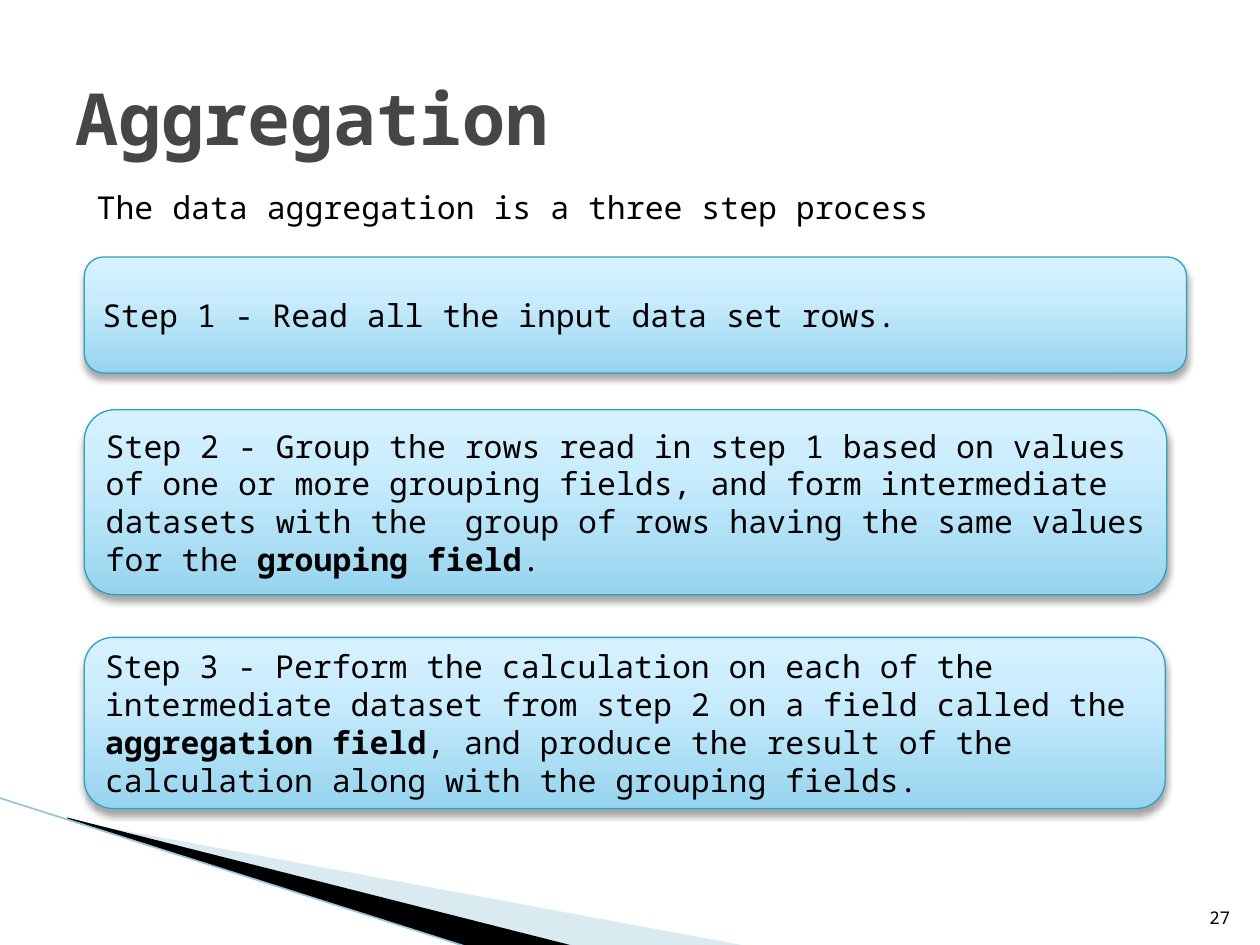
from copy import deepcopy
from dataclasses import dataclass

from lxml.etree import SubElement
from pptx import Presentation
from pptx.dml.color import RGBColor as RGB
from pptx.enum.shapes import MSO_CONNECTOR as LINK, MSO_SHAPE as SHAPE
from pptx.enum.text import MSO_ANCHOR as ANCHOR, MSO_AUTO_SIZE as AUTO, PP_ALIGN as ALIGN
from pptx.oxml.ns import qn
from pptx.util import Cm, Pt


@dataclass(frozen=True)
class Theme:
    font: str = "Noto Sans Mono"
    ink: str = "000000"
    head: str = "464646"
    edge: str = "2DA2BF"
    pale: str = "A0CBDC"
    rule: str = "97C5D8"
    glow: tuple = ((0, "96D4EE"), (0.65, "C9ECFC"), (1, "D7F2FF"))
    big: int = 41
    body: int = 18
    small: int = 10


THEME = Theme()
STEPS = (
    # top, width, height, runs as (text, bold)
    (0, 22.22, 2.34, [("Step 1 - Read all the input data set rows.", False)]),
    (3.08, 21.82, 3.73, [
        ("Step 2 - Group the rows read in step 1 based on values of one or more "
         "grouping fields, and form intermediate datasets with the  group of rows "
         "having the same values for the ", False),
        ("grouping field", True), (".", False)]),
    (7.67, 21.79, 3.45, [
        ("Step 3 - Perform the calculation on each of the intermediate dataset "
         "from step 2 on a field called the ", False),
        ("aggregation field", True),
        (", and produce the result of the calculation along with the grouping "
         "fields.", False)]),
)


def style(item, **values):
    for name, value in values.items():
        setattr(item, name, value)


def place(shape, box):
    style(shape, **dict(zip(("left", "top", "width", "height"), map(Cm, box))))


def write(shape, runs, size, color=THEME.ink, align=ALIGN.LEFT, **frame):
    text = shape.text_frame
    style(text, **{"word_wrap": True, "auto_size": AUTO.NONE, **frame})
    para = text.paragraphs[0]
    para.alignment = align
    for words, bold in runs:
        run = para.add_run()
        run.text = words
        style(run.font, name=THEME.font, size=Pt(size), bold=bold)
        run.font.color.rgb = RGB.from_string(color)


def alpha(color, percent):
    SubElement(color, qn("a:alpha"), val=str(percent * 1000))


def wedge(slide, box, points, color, opaque=100):
    left, top = box[:2]
    spots = [(Cm(left + x), Cm(top + y)) for x, y in points]
    form = slide.shapes.build_freeform(*spots[0])
    form.add_line_segments(spots[1:])
    shape = form.convert_to_shape()
    shape.shadow.inherit = False
    shape.fill.solid()
    shape.fill.fore_color.rgb = RGB.from_string(color)
    shape.line.fill.background()
    if opaque < 100:
        alpha(shape.element.spPr.find(".//" + qn("a:srgbClr")), opaque)


def corner(slide, box):
    """Wedges and rule in the lower left corner."""
    left, top, wide, high = box
    wedge(slide, box, ((1.4, 0.46), (wide, 3), (11.58, 3), (1.4, 0.43)), THEME.pale, 40)
    wedge(slide, box, ((1.35, 0.4), (11.61, 3), (9.45, high), (1.37, 0.43)), THEME.ink)
    rule = slide.shapes.add_connector(
        LINK.STRAIGHT, Cm(left - 0.03), Cm(top), Cm(left + 9.45), Cm(top + high))
    rule.line.color.rgb = RGB.from_string(THEME.rule)
    rule.line.width = Pt(0.95)
    SubElement(rule.element.spPr, qn("a:effectLst"))


def header(slide, box):
    """Title with the lead line below it."""
    left, top, wide, high = box
    title = slide.shapes.title
    place(title, (left, top, wide, 3.18))
    write(title, [("Aggregation", True)], THEME.big, THEME.head,
          vertical_anchor=ANCHOR.MIDDLE)
    lead = slide.shapes.add_textbox(0, 0, 0, 0)
    place(lead, (left + 0.43, top + high - 1.02, 19.25, 1.02))
    write(lead, [("The data aggregation is a three step process", False)],
          THEME.body, auto_size=AUTO.SHAPE_TO_FIT_TEXT)


def card(slide, box, runs):
    shape = slide.shapes.add_shape(SHAPE.ROUNDED_RECTANGLE, *map(Cm, box))
    shape.line.color.rgb = RGB.from_string(THEME.edge)
    shape.line.width = Pt(0.75)
    # Three gradient stops, dark at the foot
    shape.fill.gradient()
    shape.fill.gradient_angle = 90
    props = shape.element.spPr
    stops = props.find(".//" + qn("a:gsLst"))
    stops.append(deepcopy(stops[0]))
    for stop, (spot, color) in zip(shape.fill.gradient_stops, THEME.glow):
        stop.position = spot
        stop.color.rgb = RGB.from_string(color)
    # Soft shadow straight below
    shape.shadow.inherit = False
    drop = SubElement(props.find(qn("a:effectLst")), qn("a:outerShdw"),
                      blurRad=str(Pt(4)), dist=str(Pt(3)), dir="5400000",
                      rotWithShape="0")
    alpha(SubElement(drop, qn("a:srgbClr"), val=THEME.ink), 35)
    write(shape, runs, THEME.body, vertical_anchor=ANCHOR.MIDDLE,
          margin_right=Cm(0.15))


def steps(slide, box):
    """Stack of step cards."""
    left, top = box[:2]
    for down, wide, high, runs in STEPS:
        card(slide, (left, top + down, wide, high), runs)


def number(slide, box):
    """Page number."""
    page = slide.shapes.add_textbox(*map(Cm, box))
    write(page, [("27", False)], THEME.small, align=ALIGN.RIGHT,
          vertical_anchor=ANCHOR.BOTTOM)


def main():
    deck = Presentation()
    style(deck, slide_width=Cm(25.4), slide_height=Cm(19.05))
    slide = deck.slides.add_slide(deck.slide_layouts[5])
    corner(slide, (0, 16.08, 15.11, 3.02))
    number(slide, (24.03, 17.81, 1.02, 1.02))
    header(slide, (1.27, 0.76, 22.86, 3.92))
    steps(slide, (1.7, 5.18, 22.22, 11.12))
    deck.save("out.pptx")


if __name__ == "__main__":
    main()
